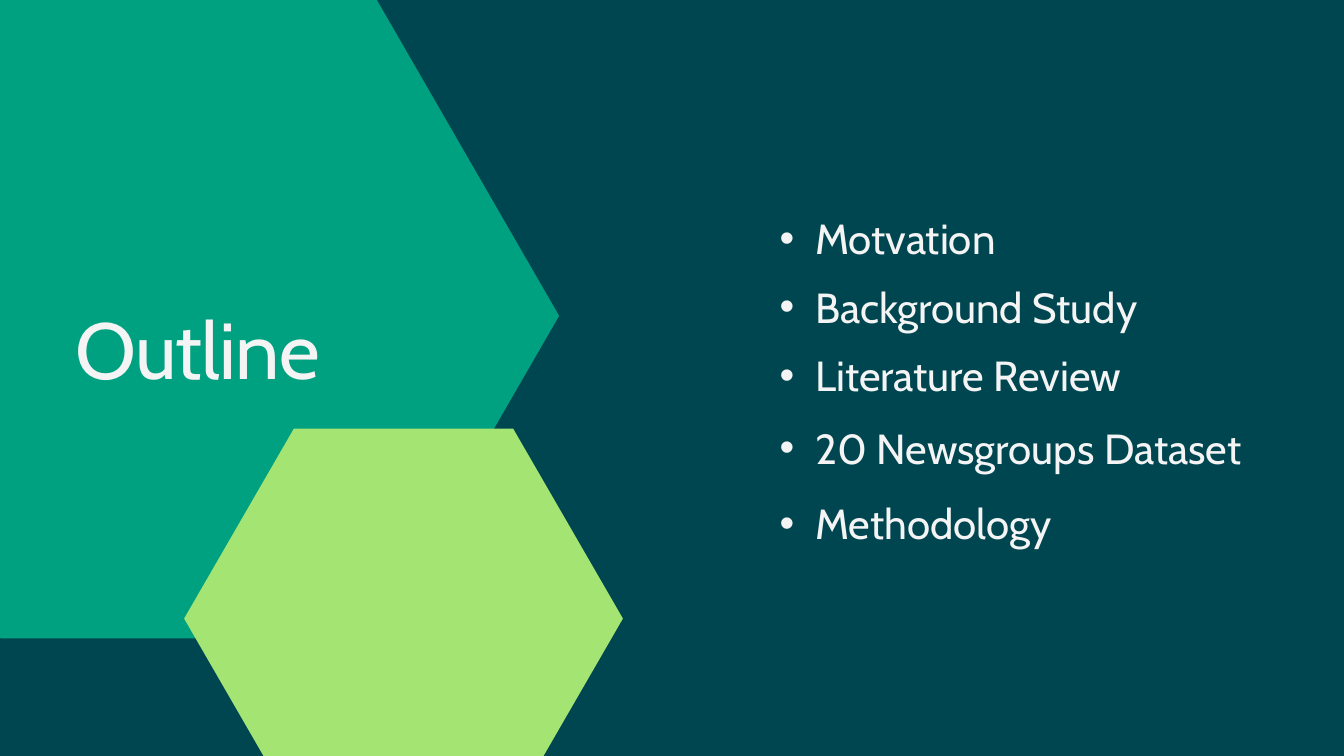
from lxml.etree import SubElement
from pptx import Presentation
from pptx.dml.color import RGBColor
from pptx.enum.shapes import MSO_SHAPE
from pptx.enum.text import MSO_AUTO_SIZE
from pptx.oxml.ns import qn
from pptx.util import Inches, Pt

NAVY, TEAL, LIME, WHITE = "004651", "00A181", "A4E473", "F4F4F4"
TOPICS = [
    ("Motvation", 3.04, 6.68),
    ("Background Study", 4.06, 6.68),
    ("Literature Review", 5.08, 6.68),
    ("20 Newsgroups Dataset", 6.16, 7.81),
    ("Methodology", 7.28, 6.68),
]


def paint(fill, color):
    fill.solid()
    fill.fore_color.rgb = RGBColor.from_string(color)


def add_hexagon(slide, left, top, width, height, color):
    """Add a regular hexagon whose side corners stand a quarter width out."""
    shape = slide.shapes.add_shape(
        MSO_SHAPE.HEXAGON, Inches(left), Inches(top), Inches(width), Inches(height))
    shape.adjustments[0] = width / 4 / height
    shape.shadow.inherit = False
    paint(shape.fill, color)
    shape.line.fill.background()


def set_bullet(para, left, hang):
    para.level = 1
    props = para._p.get_or_add_pPr()
    props.set("marL", str(Inches(left)))
    props.set("indent", str(-Inches(hang)))
    SubElement(props, qn("a:buFont")).set("typeface", "Arial")
    SubElement(props, qn("a:buChar")).set("char", "•")


def add_text(slide, text, left, top, width, height, *, size, leading,
             spacing=0, bullet=False):
    box = slide.shapes.add_textbox(
        Inches(left), Inches(top), Inches(width), Inches(height))
    frame = box.text_frame
    frame.word_wrap = True
    frame.auto_size = MSO_AUTO_SIZE.SHAPE_TO_FIT_TEXT
    frame.margin_left = frame.margin_right = 0
    frame.margin_top = frame.margin_bottom = 0
    para = frame.paragraphs[0]
    if bullet:
        set_bullet(para, 1.06, 0.53)
    para.line_spacing = Pt(leading)
    run = para.add_run()
    run.text = text
    run.font.name = "Cabin"
    run.font.size = Pt(size)
    run.font.color.rgb = RGBColor.from_string(WHITE)
    if spacing:
        run.font._element.set("spc", str(round(spacing * 100)))


def main():
    deck = Presentation()
    deck.slide_width, deck.slide_height = Inches(20), Inches(11.25)
    slide = deck.slides.add_slide(deck.slide_layouts[6])
    paint(slide.background.fill, NAVY)

    add_hexagon(slide, -2.76, -0.1, 11.08, 9.6, TEAL)
    add_hexagon(slide, 2.74, 6.38, 6.53, 5.65, LIME)

    add_text(slide, "Outline", 1.12, 4.46, 4.88, 1.41,
             size=85, leading=102, spacing=-0.8)
    for topic, top, width in TOPICS:
        add_text(slide, topic, 11.07, top, width, 0.83,
                 size=45, leading=63, bullet=True)

    deck.save("out.pptx")


if __name__ == "__main__":
    main()
